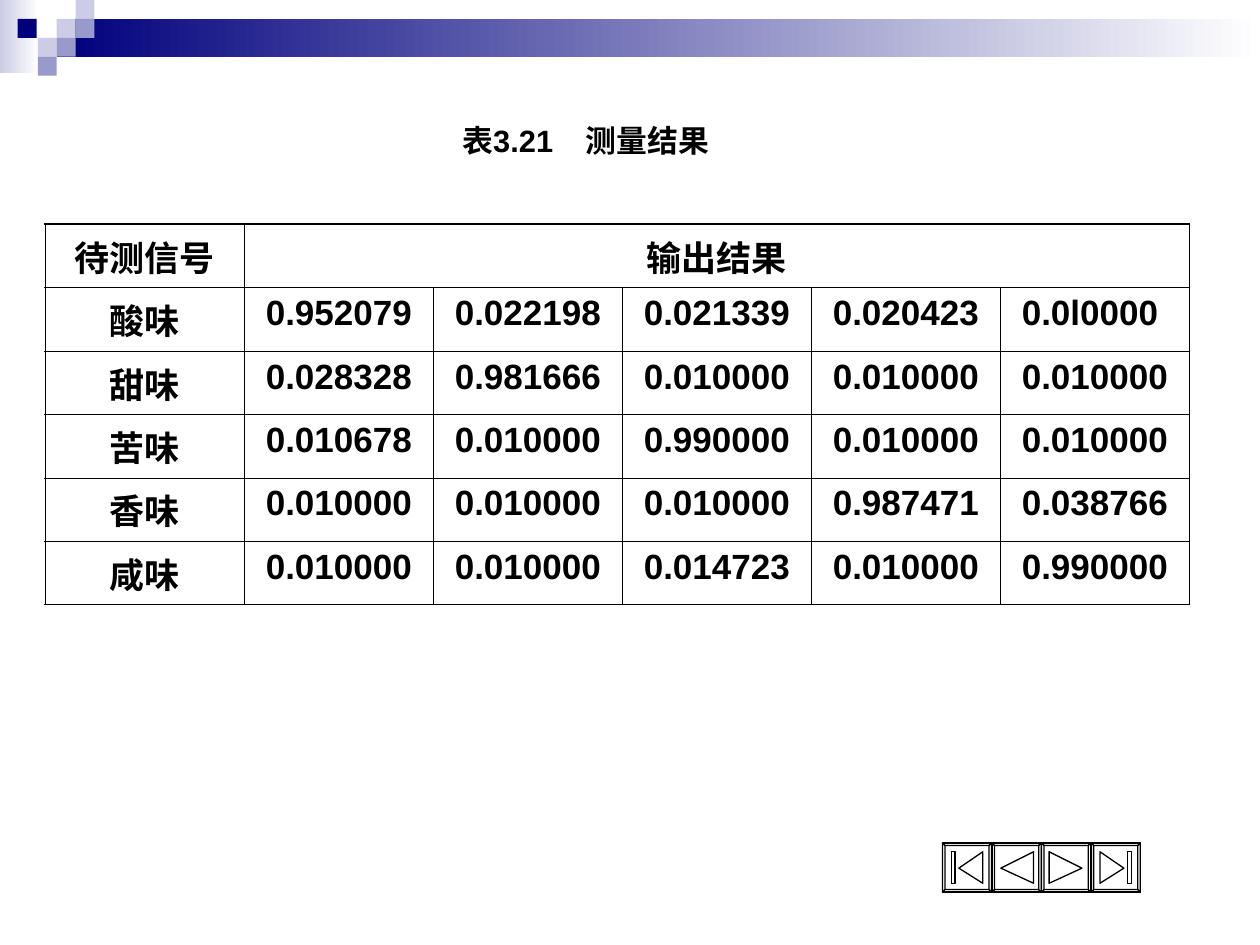
from pptx import Presentation
from pptx.dml.color import RGBColor
from pptx.enum.shapes import MSO_SHAPE
from pptx.enum.text import PP_ALIGN
from pptx.oxml.xmlchemy import OxmlElement
from pptx.util import Inches, Pt

NAVY, LILAC, LAVENDER, WHITE, BLACK = "00007D", "9999CC", "CCCCE6", "FFFFFF", "000000"


def color(hex_text):
    return RGBColor.from_string(hex_text)


class SlideBuilder:
    """Holds the text style and the current slide, and adds elements to it."""

    def __init__(self, page, font="Arial"):
        self.page = page
        self.font = font

    def style(self, para, size):
        for span in para.runs:
            span.font.name = self.font
            span.font.size = Pt(size)
            span.font.bold = True
            span.font.color.rgb = color(BLACK)

    def rectangle(self, left, top, width, height, start, end=None):
        shape = self.page.shapes.add_shape(
            MSO_SHAPE.RECTANGLE, Inches(left), Inches(top), Inches(width), Inches(height))
        shape.shadow.inherit = False
        shape.line.fill.background()
        if end is None:
            shape.fill.solid()
            shape.fill.fore_color.rgb = color(start)
            return
        shape.fill.gradient()
        shape.fill.gradient_angle = 0
        for stop, hex_text, position in zip(shape.fill.gradient_stops, (start, end), (0, 1)):
            stop.color.rgb = color(hex_text)
            stop.position = position

    def outline(self, left, top, contours):
        def place(points):
            return [(Inches(left + x), Inches(top + y)) for x, y in points]

        first, *others = [place(points) for points in contours]
        builder = self.page.shapes.build_freeform(*first[0], scale=1.0)
        builder.add_line_segments(first[1:], close=True)
        for points in others:
            builder.move_to(*points[0])
            builder.add_line_segments(points[1:], close=True)
        shape = builder.convert_to_shape()
        shape.shadow.inherit = False
        shape.fill.solid()
        shape.fill.fore_color.rgb = color(WHITE)
        shape.line.color.rgb = color(BLACK)
        shape.line.width = Pt(0.75)

    def button(self, left, top, icon, mirrored=False):
        size, bevel = 0.39, 0.02
        outer = [(0, 0), (size, 0), (size, size), (0, size)]
        far = size - bevel
        inner = [(bevel, bevel), (far, bevel), (far, far), (bevel, far)]
        edges = [[outer[i], outer[(i + 1) % 4], inner[(i + 1) % 4], inner[i]] for i in range(4)]
        if mirrored:
            icon = [[(size - x, y) for x, y in points] for points in icon]
        self.outline(left, top, [outer] + edges + icon)

    def caption(self, left, top, width, height, text, inset, tab):
        box = self.page.shapes.add_textbox(
            Inches(left), Inches(top), Inches(width), Inches(height))
        frame = box.text_frame
        frame.word_wrap = True
        frame.margin_left = Inches(inset)
        para = frame.paragraphs[0]
        para.text = text
        stops = OxmlElement("a:tabLst")
        stop = OxmlElement("a:tab")
        stop.set("pos", str(Inches(tab)))
        stop.set("algn", "l")
        stops.append(stop)
        para._p.get_or_add_pPr().append(stops)
        self.style(para, 17.6)

    def border(self, cell, side, width):
        line = OxmlElement(f"a:ln{side}")
        line.set("w", str(Pt(width)))
        fill = OxmlElement("a:solidFill")
        ink = OxmlElement("a:srgbClr")
        ink.set("val", BLACK)
        fill.append(ink)
        line.append(fill)
        cell._tc.get_or_add_tcPr().append(line)

    def table(self, left, top, widths, heights, rows):
        table = self.page.shapes.add_table(
            len(heights), len(widths), Inches(left), Inches(top),
            Inches(sum(widths)), Inches(sum(heights))).table
        table.first_row = table.horz_banding = False
        for column, width in zip(table.columns, widths):
            column.width = Inches(width)
        for row, height in zip(table.rows, heights):
            row.height = Inches(height)
        last_row, last_column = len(heights) - 1, len(widths) - 1
        for r in range(len(heights)):
            for c in range(len(widths)):
                cell = table.cell(r, c)
                at_right = c == last_column or (r == 0 and c > 0)
                outer_sides = {"L": c == 0, "R": at_right, "T": r == 0, "B": r == last_row}
                for side, is_outer in outer_sides.items():
                    self.border(cell, side, 1.08 if is_outer else 0.45)
                cell.fill.background()
        for r, texts in enumerate(rows):
            for c, text in enumerate(texts):
                para = table.cell(r, c).text_frame.paragraphs[0]
                para.text = text
                para.alignment = PP_ALIGN.CENTER
                self.style(para, 20)
        table.cell(0, 1).merge(table.cell(0, last_column))


def main():
    deck = Presentation()
    deck.slide_width, deck.slide_height = Inches(10), Inches(7.5)
    slide = SlideBuilder(deck.slides.add_slide(deck.slide_layouts[6]))

    slide.rectangle(0, 0, 0.31, 0.58, LAVENDER, WHITE)
    slide.rectangle(0.45, 0.15, 9.55, 0.3, NAVY, WHITE)
    tiles = [(0.45, 0.15, LAVENDER), (0.6, 0, LAVENDER), (0.6, 0.15, LILAC),
             (0.3, 0.3, LAVENDER), (0.14, 0.15, NAVY), (0.45, 0.3, LILAC), (0.3, 0.45, LILAC)]
    for left, top, fill in tiles:
        slide.rectangle(left, top, 0.15, 0.15, fill)

    skip_icon = [[(0.13, 0.2), (0.32, 0.07), (0.32, 0.32)],
                 [(0.07, 0.07), (0.1, 0.07), (0.1, 0.32), (0.07, 0.32)]]
    step_icon = [[(0.07, 0.2), (0.33, 0.07), (0.33, 0.32)]]
    buttons = [(skip_icon, False), (step_icon, False), (step_icon, True), (skip_icon, True)]
    for index, (icon, mirrored) in enumerate(buttons):
        slide.button(7.48 + index * 1.18 / 3, 6.69, icon, mirrored)

    slide.caption(0.2, 0.92, 9, 0.42, "表3.21\t测量结果", inset=3.47, tab=0.98)
    slide.table(0.36, 1.78, [1.58] + [1.5] * 5, [3.02 / 6] * 6, [
        ["待测信号", "输出结果"],
        ["酸味", "0.952079", "0.022198", "0.021339", "0.020423", "0.0l0000 "],
        ["甜味", "0.028328", "0.981666", "0.010000", "0.010000", "0.010000"],
        ["苦味", "0.010678", "0.010000", "0.990000", "0.010000", "0.010000"],
        ["香味", "0.010000", "0.010000", "0.010000", "0.987471", "0.038766"],
        ["咸味", "0.010000", "0.010000", "0.014723", "0.010000", "0.990000"],
    ])
    deck.save("out.pptx")


if __name__ == "__main__":
    main()
